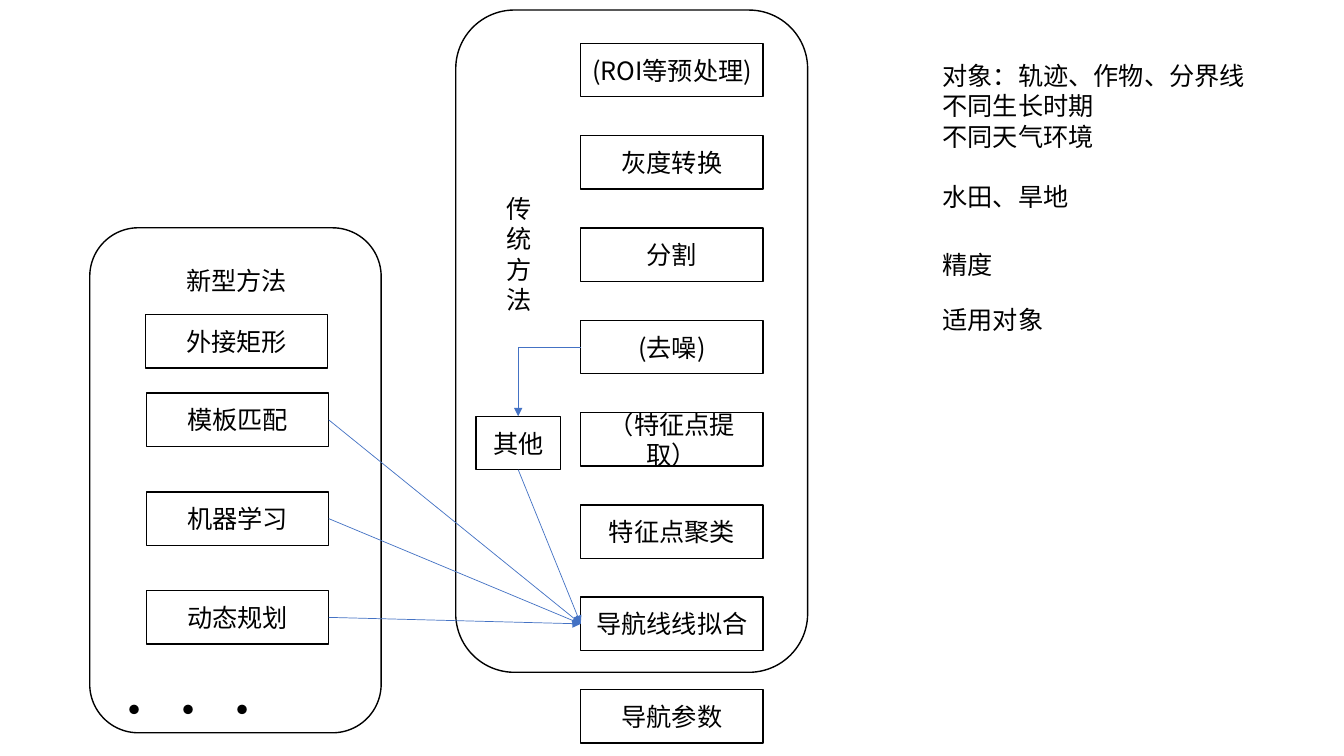
import pptx
import pptx.util
import pptx.dml.color
import pptx.enum.shapes
import pptx.enum.text
import pptx.oxml
import pptx.oxml.ns
from dataclasses import dataclass

Inches = pptx.util.Inches
Pt = pptx.util.Pt
Shape = pptx.enum.shapes.MSO_SHAPE
Link = pptx.enum.shapes.MSO_CONNECTOR
Align = pptx.enum.text.PP_ALIGN
Anchor = pptx.enum.text.MSO_ANCHOR
Fit = pptx.enum.text.MSO_AUTO_SIZE
qn = pptx.oxml.ns.qn


@dataclass(frozen=True)
class Theme:
    font: str = "Noto Sans CJK SC"
    ink: str = "000000"
    blue: str = "4472C4"
    body: int = 18
    dots: int = 32
    edge: float = 1
    wire: float = 0.5


theme = Theme()
TOP, LEFT, BOTTOM, RIGHT = range(4)
WIDE, HIGH = 1.81, 0.53

frames = [(4.52, 0.1, 3.49, 6.57), (0.89, 2.26, 2.89, 5.01)]
steps = ["(ROI等预处理)", "灰度转换", "分割", "(去噪)",
         "（特征点提取）", "特征点聚类", "导航线线拟合", "导航参数"]
models = ["模板匹配", "机器学习", "动态规划"]
notes = [
    (["对象：轨迹、作物、分界线", "不同生长时期", "不同天气环境", "水田、旱地"],
     (9.25, 0.55, 3.94, 1.92), True),
    (["精度"], (9.25, 2.42, 3.94, 0.4), True),
    (["适用对象"], (9.25, 2.97, 1.21, 0.4), False),
    (["传统方法"], (4.93, 1.87, 0.5, 1.31), True),
    (["新型方法"], (1.75, 2.58, 1.21, 0.4), False),
]
links = [("(去噪)", LEFT, "其他", TOP, Link.ELBOW),
         ("其他", BOTTOM, "导航线线拟合", LEFT, Link.STRAIGHT)]
links += [(name, RIGHT, "导航线线拟合", LEFT, Link.STRAIGHT)
          for name in models]


def color(code):
    return pptx.dml.color.RGBColor.from_string(code)


def style(frame, size):
    for para in frame.paragraphs:
        for run in para.runs:
            run.font.name = theme.font
            run.font.size = Pt(size)
            run.font.color.rgb = color(theme.ink)
            east = pptx.oxml.parse_xml(
                f'<a:ea {pptx.oxml.ns.nsdecls("a")} typeface="{theme.font}"/>')
            run.font._element.find(qn("a:latin")).addnext(east)


def add_box(slide, kind, area, text=""):
    box = slide.shapes.add_shape(kind, *map(Inches, area))
    box.shadow.inherit = False
    box.fill.background()
    box.line.color.rgb = color(theme.ink)
    box.line.width = Pt(theme.edge)
    if text:
        frame = box.text_frame
        frame.text = text
        frame.vertical_anchor = Anchor.MIDDLE
        frame.paragraphs[0].alignment = Align.CENTER
        style(frame, theme.body)
    return box


def add_note(slide, lines, area, wrap=True, size=theme.body):
    frame = slide.shapes.add_textbox(*map(Inches, area)).text_frame
    frame.text = "\n".join(lines)
    frame.word_wrap = wrap
    frame.auto_size = Fit.SHAPE_TO_FIT_TEXT
    style(frame, size)
    return frame


def add_link(slide, start, out, end, into, kind):
    wire = slide.shapes.add_connector(kind, 0, 0, 0, 0)
    wire.begin_connect(start, out)
    wire.end_connect(end, into)
    wire.line.color.rgb = color(theme.blue)
    wire.line.width = Pt(theme.wire)
    props = wire._element.spPr
    if kind == Link.ELBOW:
        props.find(qn("a:prstGeom")).set("prst", "bentConnector2")
    tip = pptx.oxml.parse_xml(
        f'<a:tailEnd {pptx.oxml.ns.nsdecls("a")} type="triangle"/>')
    props.find(qn("a:ln")).append(tip)
    props.append(pptx.oxml.parse_xml(
        f'<a:effectLst {pptx.oxml.ns.nsdecls("a")}/>'))


def main():
    """Build the slide on navigation line methods."""
    deck = pptx.Presentation()
    deck.slide_width, deck.slide_height = Inches(13.33), Inches(7.5)
    slide = deck.slides.add_slide(deck.slide_layouts[6])
    for area in frames:
        add_box(slide, Shape.ROUNDED_RECTANGLE, area)

    areas = {"其他": (4.72, 4.13, 0.84, HIGH),
             "外接矩形": (1.44, 3.12, WIDE, HIGH)}
    gap = (6.84 - 0.43) / (len(steps) - 1)
    for i, name in enumerate(steps):
        areas[name] = (5.76, 0.43 + i * gap, WIDE, HIGH)
    for i, name in enumerate(models):
        areas[name] = (1.45, 3.9 + i * 0.98, WIDE, HIGH)
    boxes = {name: add_box(slide, Shape.RECTANGLE, area, name)
             for name, area in areas.items()}

    for start, out, end, into, kind in links:
        add_link(slide, boxes[start], out, boxes[end], into, kind)

    frames_out = [add_note(slide, *note) for note in notes]
    frames_out[0].paragraphs[-1].space_before = Pt(theme.body * 1.2)
    dots = add_note(slide, ["···"], (1.99, 6.72, 0.74, 0.43), size=theme.dots)
    dots._txBody.bodyPr.set("vert", "eaVert")
    deck.save("out.pptx")


if __name__ == "__main__":
    main()
